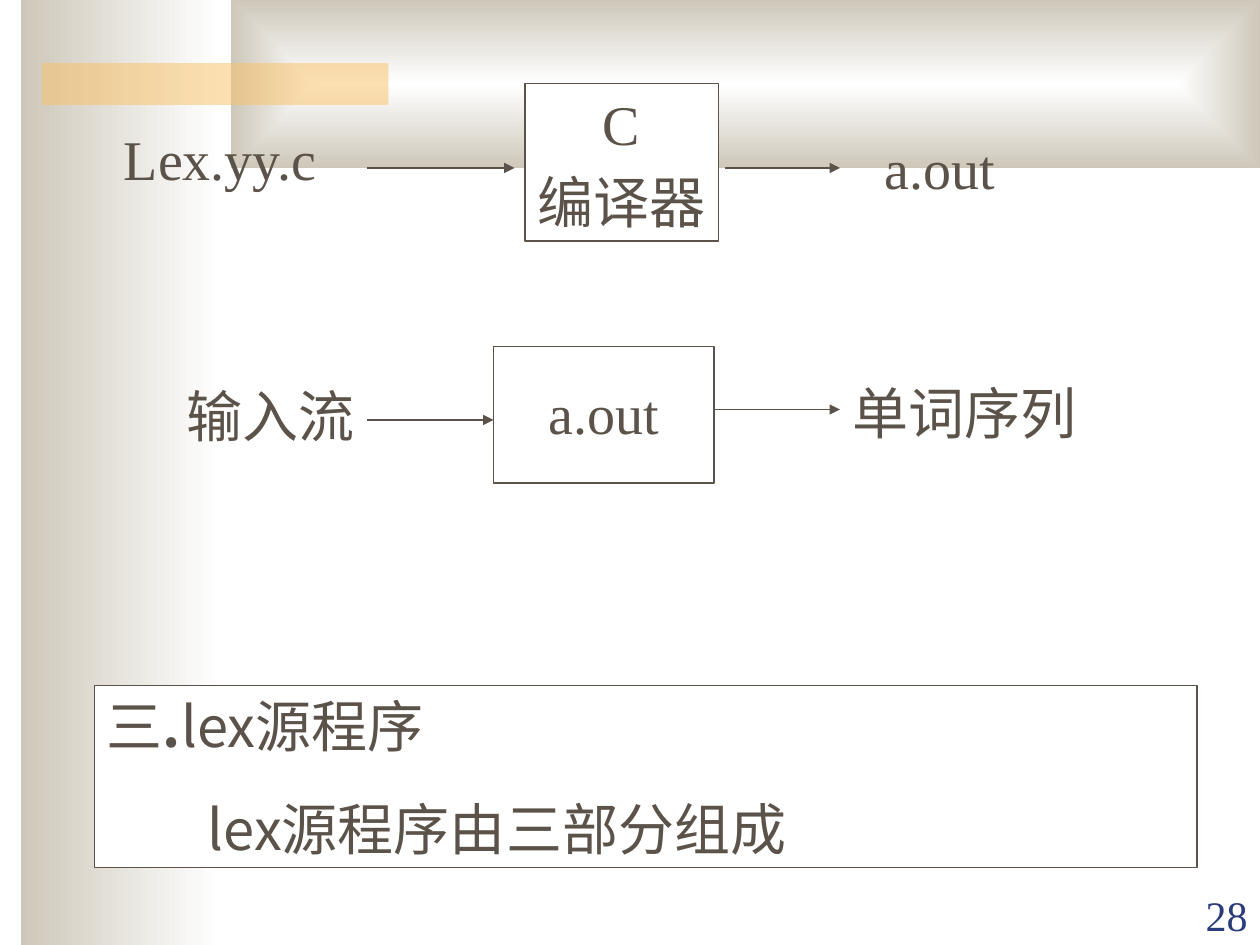
from lxml.etree import SubElement
from pptx import Presentation
from pptx.dml.color import RGBColor
from pptx.enum.shapes import MSO_CONNECTOR, MSO_SHAPE
from pptx.enum.text import MSO_ANCHOR, MSO_AUTO_SIZE, PP_ALIGN
from pptx.oxml import parse_xml
from pptx.oxml.ns import nsdecls, qn
from pptx.util import Pt

INK, SAND, WHITE = "5B5249", "CEC8BA", "FFFFFF"
SERIF, SANS = "Times New Roman", "Noto Sans CJK JP"


def rgb(value):
    return RGBColor.from_string(value)


def add_rect(s, box, fill=WHITE, line=None):
    sp = s.shapes.add_shape(MSO_SHAPE.RECTANGLE, *map(Pt, box))
    sp.shadow.inherit = False
    sp.fill.solid()
    sp.fill.fore_color.rgb = rgb(fill)
    if line:
        sp.line.color.rgb = rgb(line)
        sp.line.width = Pt(0.75)
    else:
        sp.line.fill.background()
    return sp


def add_gradient(s, box):
    sp = add_rect(s, box)
    sp.fill.gradient()
    sp.fill.gradient_angle = 180
    for stop, position, color in zip(sp.fill.gradient_stops, (0, 1), (WHITE, SAND)):
        stop.position = position
        stop.color.rgb = rgb(color)
    return sp


def set_font(p, name=SERIF, size=32, color=INK):
    p.font.name = name
    p.font.size = Pt(size)
    p.font.color.rgb = rgb(color)
    latin = p.font._element.find(qn("a:latin"))
    latin.addnext(parse_xml(f'<a:ea {nsdecls("a")} typeface="{SANS}"/>'))


def set_lines(sp, lines, before=0, name=SERIF, align=PP_ALIGN.CENTER, wrap=False):
    tf = sp.text_frame
    tf.word_wrap = wrap
    tf.auto_size = MSO_AUTO_SIZE.SHAPE_TO_FIT_TEXT
    tf.vertical_anchor = MSO_ANCHOR.MIDDLE
    if not wrap:
        tf.margin_left = tf.margin_right = Pt(6)
    for i, runs in enumerate(lines):
        p = tf.paragraphs[0] if i == 0 else tf.add_paragraph()
        p.alignment = align
        p.space_before = Pt(before)
        for text in runs:
            p.add_run().text = text
        set_font(p, name)
    return tf


def add_label(s, box, text, before=20):
    set_lines(s.shapes.add_textbox(*map(Pt, box)), [[text]], before)


def add_arrow(s, x1, x2, y):
    c = s.shapes.add_connector(MSO_CONNECTOR.STRAIGHT, Pt(x1), Pt(y), Pt(x2), Pt(y))
    c.line.color.rgb = rgb(INK)
    c.line.width = Pt(0.75)
    SubElement(c.line._get_or_add_ln(), qn("a:tailEnd"), type="triangle")
    SubElement(c._element.spPr, qn("a:effectLst"))


def add_backdrop(s, width, height):
    add_gradient(s, (12, 0, 114, height))
    banner = add_gradient(s, (132, 0, width - 132, 96))
    lin = banner._element.spPr.find(".//" + qn("a:lin"))
    lin.getparent().replace(lin, parse_xml(
        f'<a:path {nsdecls("a")} path="rect">'
        '<a:fillToRect l="50000" t="50000" r="50000" b="50000"/></a:path>'))
    bar = add_rect(s, (24, 36, 198, 24), "FAC164")
    color = bar._element.spPr.find(".//" + qn("a:srgbClr"))
    SubElement(color, qn("a:alpha"), val="50000")


def add_compile_row(s, x, y):
    box = add_rect(s, (x + 237.2, y, 110.4, 90), line=INK)
    set_lines(box, [["C"], ["编译器"]], 6)
    add_arrow(s, x + 147.2, x + 231.2, y + 48.3)
    add_arrow(s, x + 351.2, x + 417.2, y + 48.3)
    add_label(s, (x, y + 19.5, 126, 46), "Lex.yy.c")
    add_label(s, (x + 435.2, y + 24.5, 78, 46), "a.out")


def add_run_row(s, x, y):
    add_rect(s, (x + 183, y, 126, 78), line=INK)
    add_label(s, (x + 207, y + 14.5, 78, 46), "a.out", 0)
    add_arrow(s, x + 111, x + 183, y + 42)
    add_arrow(s, x + 309, x + 381, y + 36)
    add_label(s, (x, y + 16, 111, 46), "输入流")
    add_label(s, (x + 381, y + 14.5, 143, 46), "单词序列")


def add_summary(s, box):
    lines = [["三", ".", "lex源程序"], ["lex源程序由三部分组成"]]
    tf = set_lines(add_rect(s, box, line=INK), lines, 20, SANS, PP_ALIGN.LEFT, True)
    first, second = tf.paragraphs
    first.runs[1].font.bold = True
    second._p.get_or_add_pPr().set("marL", str(Pt(57.5)))


def add_page_number(s, box, number):
    tf = s.shapes.add_textbox(*map(Pt, box)).text_frame
    tf.word_wrap = True
    tf.vertical_anchor = MSO_ANCHOR.BOTTOM
    p = tf.paragraphs[0]
    p.alignment = PP_ALIGN.RIGHT
    p.add_run().text = number
    set_font(p, size=24, color="2A3D7A")


def main():
    prs = Presentation()
    prs.slide_width, prs.slide_height = Pt(720), Pt(540)
    s = prs.slides.add_slide(prs.slide_layouts[6])
    add_backdrop(s, 720, 540)
    add_compile_row(s, 62.8, 47.7)
    add_run_row(s, 99, 198)
    add_summary(s, (54, 391.7, 630, 104.2))
    add_page_number(s, (648, 504.5, 72, 36), "28")
    prs.save("out.pptx")


if __name__ == "__main__":
    main()
